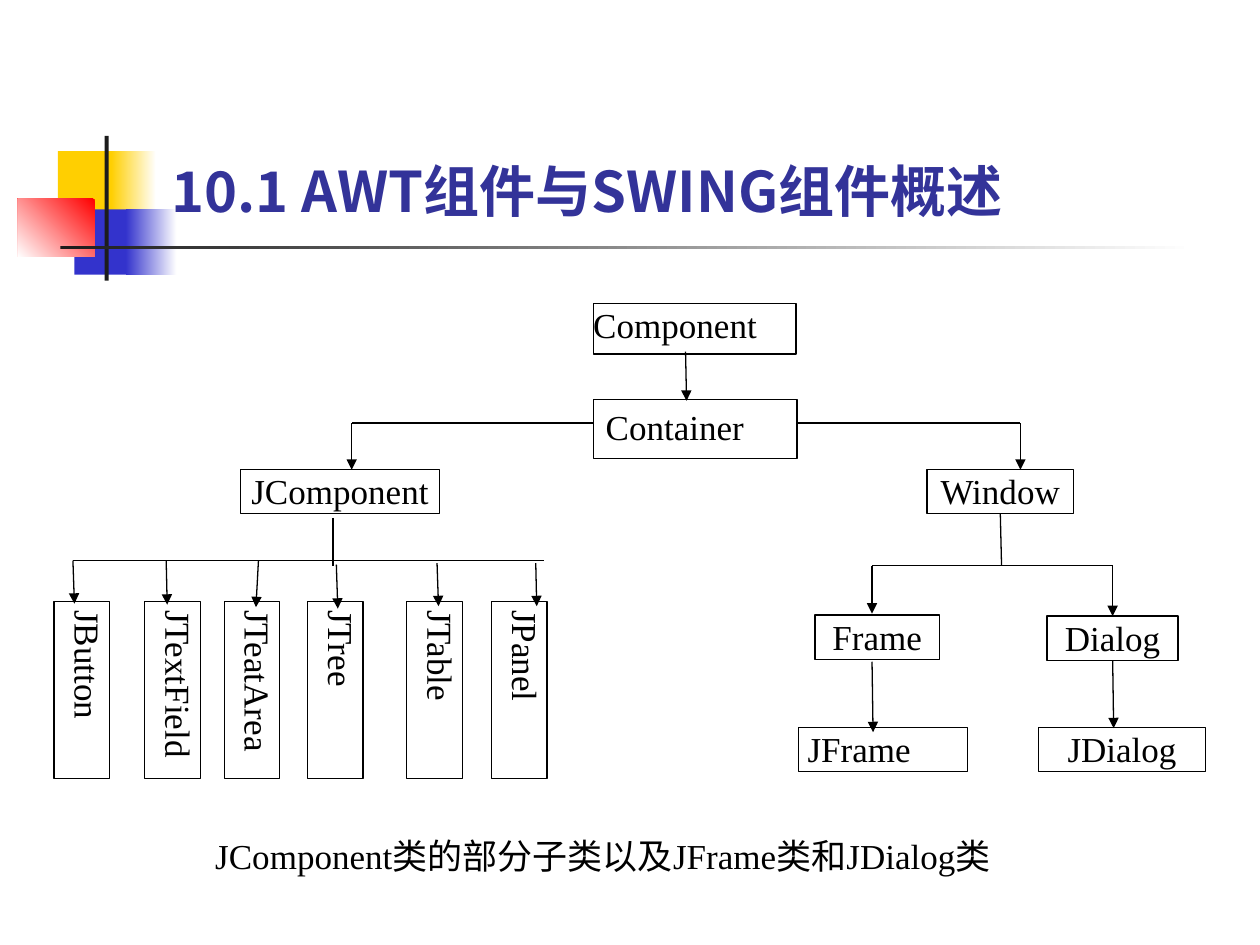
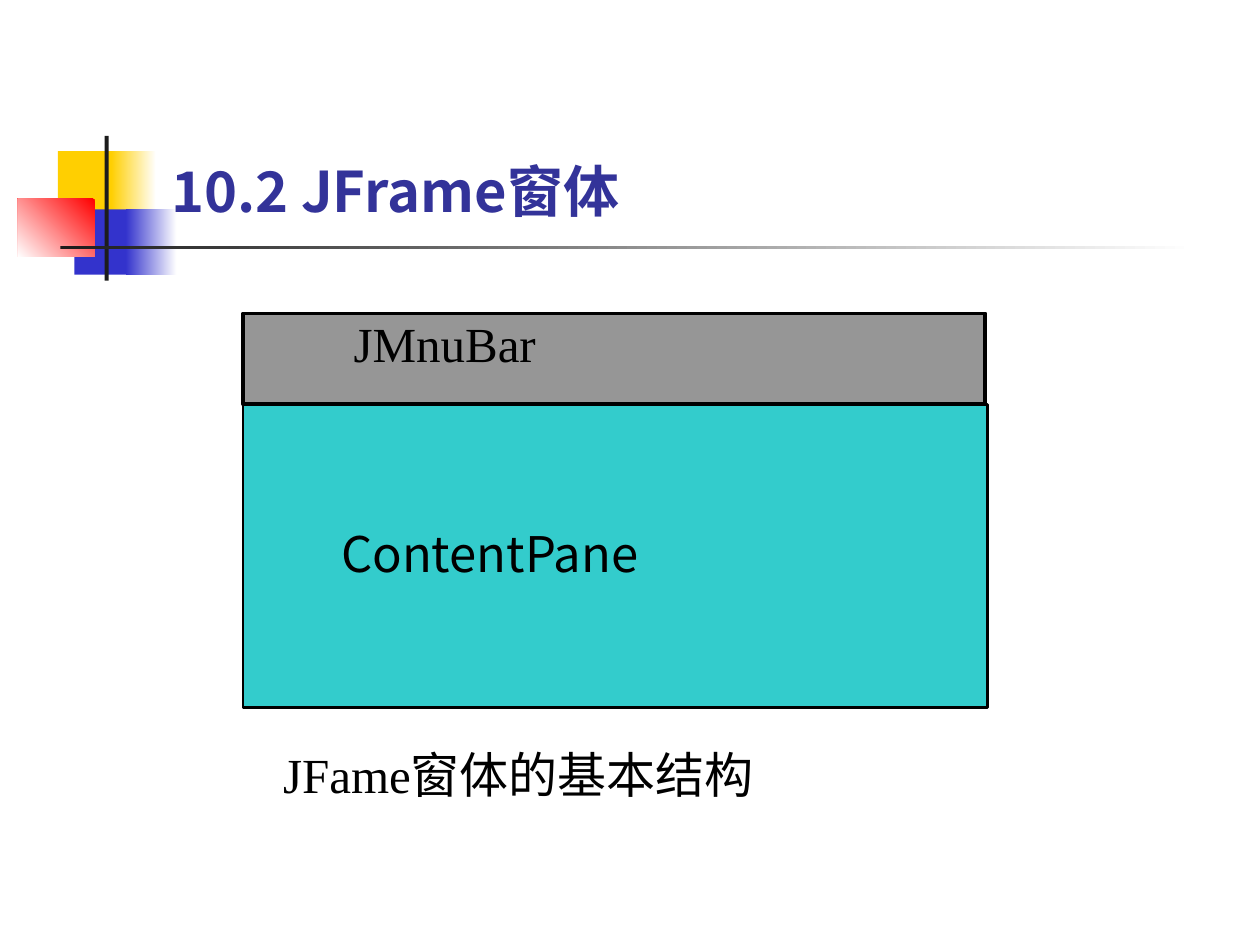
"""Build two slides on the AWT and Swing class tree and the JFrame window."""
from dataclasses import dataclass
from typing import NamedTuple, Optional

from lxml import etree
from pptx import Presentation
from pptx.dml.color import RGBColor
from pptx.enum.shapes import MSO_CONNECTOR, MSO_SHAPE
from pptx.enum.text import MSO_ANCHOR, PP_ALIGN
from pptx.oxml.ns import qn
from pptx.util import Cm, Pt

RECT = MSO_SHAPE.RECTANGLE
STRAIGHT = MSO_CONNECTOR.STRAIGHT
TOP, BOTTOM = MSO_ANCHOR.TOP, MSO_ANCHOR.BOTTOM
LEFT, CENTER = PP_ALIGN.LEFT, PP_ALIGN.CENTER
SIDE_TOP, SIDE_BOTTOM = 0, 2

SERIF = "Times New Roman"
SANS = "Noto Sans CJK SC"
COLORS = {
    "white": "FFFFFF", "black": "000000", "title": "333399",
    "yellow": "FFCF01", "blue": "3333CC", "red": "FF0000", "ink": "1C1C1C",
    "menu": "969696", "pane": "33CCCC",
}


class Band(NamedTuple):
    left: float
    top: float
    width: float
    height: float
    color: str
    fade_angle: Optional[int] = None


@dataclass
class Box:
    text: str
    left: float
    top: float
    width: float
    height: float
    fill: str = "white"
    border: float = 0.75
    size: int = 20
    font: str = SERIF
    align: PP_ALIGN = CENTER
    inset_left: float = 0
    inset_top: float = 0
    vertical: bool = False


class Line(NamedTuple):
    x1: float
    y1: float
    x2: float
    y2: float
    arrow: bool = False
    start: Optional[str] = None
    end: Optional[str] = None


BANDS = [
    Band(1.17, 3.05, 1.22, 1.32, "yellow"),
    Band(2.24, 3.05, 0.91, 1.32, "yellow", 0),
    Band(1.5, 4.22, 1.17, 1.32, "blue"),
    Band(2.54, 4.22, 1.02, 1.32, "blue", 0),
    Band(0.36, 4.01, 1.55, 1.17, "red", 225),
    Band(2.11, 2.74, 0.08, 2.92, "ink"),
    Band(1.22, 4.95, 22.86, 0.08, "ink", 0),
]

ROW_H = 0.89
CLASSES = [
    Box("Component", 11.96, 6.12, 4.09, 1.02, align=LEFT),
    Box("Container", 11.96, 8.05, 4.11, 1.19, align=LEFT, inset_left=0.25, inset_top=0.13),
    Box("JComponent", 4.85, 9.47, 4.01, ROW_H),
    Box("Window", 18.69, 9.47, 2.95, ROW_H),
    Box("Frame", 16.43, 12.4, 2.51, ROW_H),
    Box("Dialog", 21.11, 12.42, 2.64, ROW_H),
    Box("JFrame", 16.1, 14.66, 3.4, ROW_H, align=LEFT, inset_left=0.18),
    Box("JDialog", 20.93, 14.66, 3.38, ROW_H),
]
WIDGETS = [
    Box(name, left, 12.12, 1.12, 3.58, inset_top=0.18, vertical=True)
    for name, left in [("JButton", 1.09), ("JTextField", 2.92), ("JTeatArea", 4.52),
                       ("JTree", 6.2), ("JTable", 8.2), ("JPanel", 9.91)]
]
TREE_CAPTION = Box("JComponent类的部分子类以及JFrame类和JDialog类", 4.09, 16.69, 19.1, 1.45,
                   border=0, align=LEFT, inset_left=0.25, inset_top=0.13)

BRANCHES = [
    Line(13.82, 7.09, 13.84, 8.08, True),
    Line(11.96, 8.53, 7.09, 8.53),
    Line(7.09, 8.53, 7.09, 9.47, True),
    Line(16.08, 8.53, 20.57, 8.53),
    Line(20.57, 8.53, 20.57, 9.47, True),
    Line(6.71, 10.44, 6.71, 11.4),
    Line(1.47, 11.3, 10.97, 11.3),
    Line(20.19, 10.44, 20.19, 11.4, start="Window"),
    Line(17.58, 11.4, 22.43, 11.4),
    Line(17.58, 11.4, 17.58, 12.37, True),
    Line(22.43, 11.4, 22.43, 12.37, True, end="Dialog"),
    Line(17.58, 13.34, 17.6, 14.76, True),
    Line(22.43, 13.34, 22.45, 14.68, True, start="Dialog"),
]
WIDGET_ARROWS = [
    Line(x1, y1, x2, y2, True)
    for x1, y1, x2, y2 in [(1.47, 11.3, 1.5, 12.17), (3.35, 11.3, 3.37, 12.19),
                           (5.21, 11.3, 5.16, 12.24), (6.78, 11.38, 6.81, 12.27),
                           (8.81, 11.35, 8.84, 12.22), (10.8, 11.35, 10.82, 12.22)]
]

WINDOW_PARTS = [
    Box("JMnuBar", 4.9, 6.32, 14.96, 1.83, "menu", 2.25, 28,
        align=LEFT, inset_left=2.23),
    Box("ContentPane", 4.9, 8.15, 15.01, 6.12, "pane", 1.5, 28, SANS,
        LEFT, inset_left=1.98, inset_top=2.4),
    Box("JFame窗体的基本结构", 5.46, 14.88, 14.02, 1.83, border=0, size=28,
        align=LEFT, inset_left=0.25, inset_top=0.13),
]


def rgb(name: str) -> RGBColor:
    return RGBColor.from_string(COLORS[name])


def write_text(sp, text: str, font: str, size: int, color: str, align, bold: bool = False) -> None:
    p = sp.text_frame.paragraphs[0]
    p.text = text
    p.alignment = align
    p.font.name, p.font.size, p.font.bold = font, Pt(size), bold
    p.font.color.rgb = rgb(color)
    for props in sp.element.iter(qn("a:defRPr")):
        etree.SubElement(props, qn("a:ea"), typeface=SANS)


def add_rect(s, item):
    sp = s.shapes.add_shape(RECT, Cm(item.left), Cm(item.top), Cm(item.width), Cm(item.height))
    sp.shadow.inherit = False
    return sp


def draw_band(s, band: Band) -> None:
    sp = add_rect(s, band)
    sp.line.fill.background()
    if band.fade_angle is None:
        sp.fill.solid()
        sp.fill.fore_color.rgb = rgb(band.color)
        return
    sp.fill.gradient()
    sp.fill.gradient_angle = band.fade_angle
    for stop, color in zip(sp.fill.gradient_stops, (band.color, "white")):
        stop.color.rgb = rgb(color)


def draw_box(s, box: Box):
    sp = add_rect(s, box)
    sp.fill.solid()
    sp.fill.fore_color.rgb = rgb(box.fill)
    if box.border:
        sp.line.color.rgb = rgb("black")
        sp.line.width = Pt(box.border)
    else:
        sp.line.fill.background()
    tf = sp.text_frame
    tf.word_wrap = True
    tf.vertical_anchor = TOP
    tf.margin_left, tf.margin_top = Cm(box.inset_left), Cm(box.inset_top)
    tf.margin_right = tf.margin_bottom = 0
    if box.vertical:
        sp.element.find(".//" + qn("a:bodyPr")).set("vert", "eaVert")
    write_text(sp, box.text, box.font, box.size, "black", box.align)
    return sp


def draw_line(s, line: Line, boxes: dict) -> None:
    cxn = s.shapes.add_connector(STRAIGHT, Cm(line.x1), Cm(line.y1), Cm(line.x2), Cm(line.y2))
    cxn.line.color.rgb = rgb("black")
    cxn.line.width = Pt(0.75)
    if line.start:
        cxn.begin_connect(boxes[line.start], SIDE_BOTTOM)
    if line.end:
        cxn.end_connect(boxes[line.end], SIDE_TOP)
    if line.arrow:
        ln = cxn.element.find(".//" + qn("a:ln"))
        etree.SubElement(ln, qn("a:tailEnd"), type="triangle")
    etree.SubElement(cxn.element.find(qn("p:spPr")), qn("a:effectLst"))


def add_titled_slide(prs, title: str):
    s = prs.slides.add_slide(prs.slide_layouts[6])
    for band in BANDS:
        draw_band(s, band)
    sp = s.shapes.add_textbox(Cm(3.2), Cm(0.58), Cm(21.64), Cm(4.06))
    sp.text_frame.word_wrap = True
    sp.text_frame.vertical_anchor = BOTTOM
    write_text(sp, title, SANS, 32, "title", LEFT, bold=True)
    return s


def build_class_tree(prs) -> None:
    s = add_titled_slide(prs, "10.1 AWT组件与SWING组件概述")
    boxes = {box.text: draw_box(s, box) for box in [TREE_CAPTION, *CLASSES, *WIDGETS]}
    for line in BRANCHES + WIDGET_ARROWS:
        draw_line(s, line, boxes)


def build_frame_structure(prs) -> None:
    s = add_titled_slide(prs, "10.2 JFrame窗体")
    for box in WINDOW_PARTS:
        draw_box(s, box)


def main() -> None:
    prs = Presentation()
    prs.slide_width, prs.slide_height = Cm(25.4), Cm(19.05)
    build_class_tree(prs)
    build_frame_structure(prs)
    prs.save("out.pptx")


if __name__ == "__main__":
    main()
